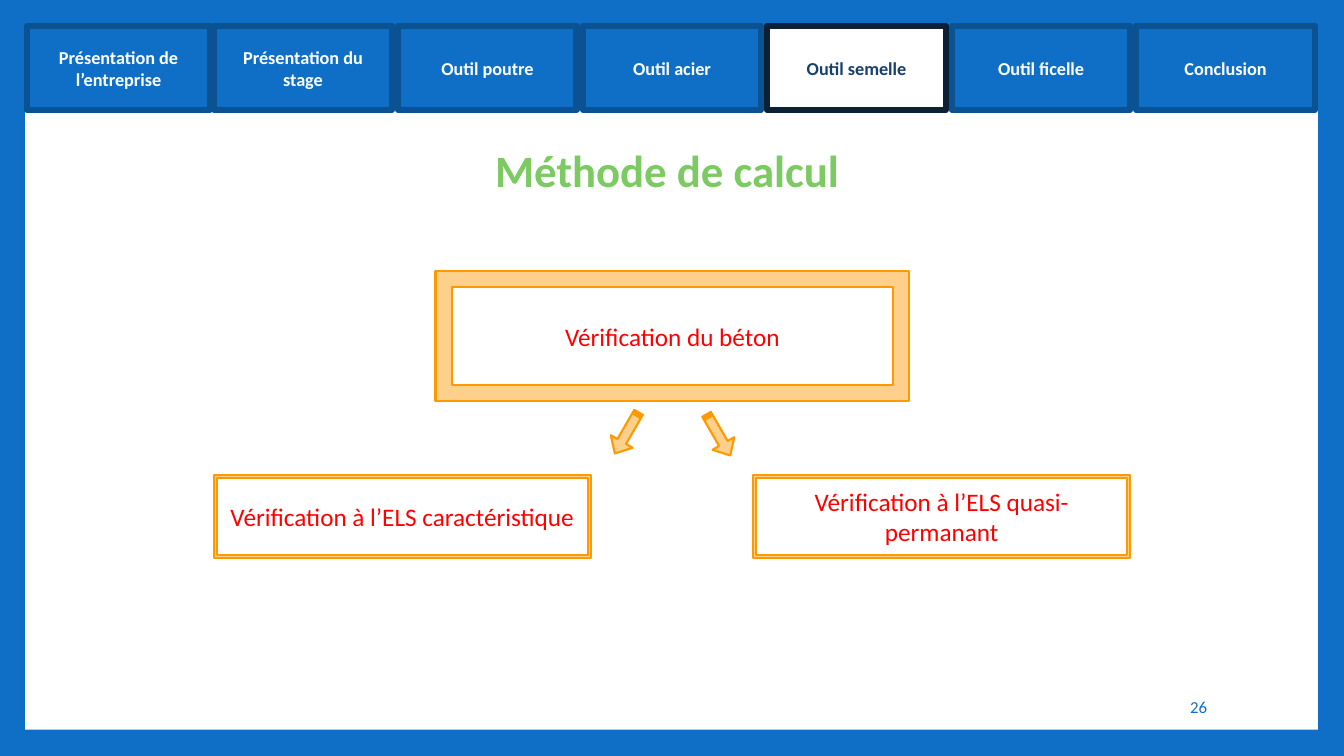
from lxml import etree
from pptx import Presentation
from pptx import util as u
from pptx.dml.color import RGBColor
from pptx.enum import shapes, text
from pptx.oxml.ns import qn

PX = 9144  # EMU per px, 100 px to the inch
FONT = "Calibri"
C = {"blue": "0F6FC6", "edge": "0B5292", "white": "FFFFFF", "navy": "17406D",
     "dark": "0C2036", "green": "7CCA62", "peach": "FFD08B",
     "orange": "FF9900", "red": "FF0000"}
TABS = ["Présentation de l’entreprise", "Présentation du stage", "Outil poutre",
        "Outil acier", "Outil semelle", "Outil ficelle", "Conclusion"]
ACTIVE_TAB = "Outil semelle"
SHAPE = shapes.MSO_SHAPE
ALIGN = text.PP_ALIGN


def rgb(name):
    return RGBColor.from_string(C[name])


def emu(*lengths):
    return [u.Emu(n * PX) for n in lengths]


def set_attrs(obj, values):
    for name, value in values.items():
        setattr(obj, name, value)


def write(sp, words, size, color, align=ALIGN.CENTER, bold=False, **frame):
    tf = sp.text_frame
    set_attrs(tf, {"word_wrap": True,
                   "vertical_anchor": text.MSO_ANCHOR.MIDDLE, **frame})
    p = tf.paragraphs[0]
    p.alignment = align
    r = p.add_run()
    r.text = words
    set_attrs(r.font, {"name": FONT, "size": u.Pt(size), "bold": bold})
    r.font.color.rgb = rgb(color)
    return r


def add_box(s, kind, box, fill, line=None, width=1.5, adj=()):
    sp = s.shapes.add_shape(kind, *emu(*box))
    sp.shadow.inherit = False
    sp.fill.solid()
    sp.fill.fore_color.rgb = rgb(fill)
    if line:
        sp.line.color.rgb = rgb(line)
        sp.line.width = u.Pt(width)
    else:
        sp.line.fill.background()
    for i, value in enumerate(adj):
        sp.adjustments[i] = value
    return sp


def page(s, box):
    """Blue surround, white panel and page number."""
    s.background.fill.solid()
    s.background.fill.fore_color.rgb = rgb("blue")
    add_box(s, SHAPE.RECTANGLE, box, "white")
    x, y, w, h = box
    number = s.shapes.add_textbox(*emu(x + w - 287, y + h - 43, 187, 40))
    write(number, "26", 12, "blue", ALIGN.RIGHT)


def tab_bar(s, box):
    """Equal tabs, the current one in white; the first is a little wider."""
    x, y, w, h = box
    pitch, gap = 183, 6
    for i, label in enumerate(TABS):
        fill, line, color = (("white", "dark", "navy") if label == ACTIVE_TAB
                             else ("blue", "edge", "white"))
        extra = 2 if i == 0 else 0
        tab = (x + pitch * i - extra, y, pitch - gap + 2 * extra, h)
        sp = add_box(s, SHAPE.RECTANGLE, tab, fill, line, 4.5)
        write(sp, label, 13, color, bold=True)


def title(s, box):
    """Green title with a thin white outline, in front of the panel."""
    sp = s.shapes.title
    s.shapes._spTree.append(sp.element)
    set_attrs(sp, dict(zip(("left", "top", "width", "height"), emu(*box))))
    r = write(sp, "Méthode de calcul", 32, "green", ALIGN.LEFT, True,
              word_wrap=False, vertical_anchor=text.MSO_ANCHOR.TOP,
              auto_size=text.MSO_AUTO_SIZE.SHAPE_TO_FIT_TEXT)
    ln = etree.Element(qn("a:ln"), w=str(u.Pt(0.75)))
    fill = etree.SubElement(ln, qn("a:solidFill"))
    etree.SubElement(fill, qn("a:srgbClr"), val=C["white"])
    r.font._element.insert(0, ln)


def checks(s, box):
    """One check on top, two arrows, two checks below."""
    x, y, w, h = box
    middle = x + w // 2
    low_w, low_h = 374, 83
    low_y = y + h - low_h
    frames = [
        ("Vérification à l’ELS caractéristique", (x, low_y, low_w, low_h), 0.037),
        ("Vérification à l’ELS quasi-permanant",
         (x + w - low_w, low_y, low_w, low_h), 0.037),
        ("Vérification du béton", (middle - 234, y, 470, 129), 0.125),
    ]
    for label, place, border in frames:
        sp = add_box(s, SHAPE.FRAME, place, "peach", "orange", adj=[border])
        write(sp, label, 18, "red")
    for dx, dy, angle in ((-68, 148, 120), (23, 150, 60)):
        sp = add_box(s, SHAPE.STRIPED_RIGHT_ARROW,
                     (middle + dx, y + dy, 47, 25),
                     "peach", "orange", adj=[0.394, 0.546])
        sp.rotation = angle


def main():
    prs = Presentation()
    prs.slide_width, prs.slide_height = emu(1333, 750)
    s = prs.slides.add_slide(prs.slide_layouts[5])
    page(s, (25, 27, 1282, 697))
    tab_bar(s, (29, 26, 1275, 83))
    title(s, (481, 137, 372, 64))
    checks(s, (212, 269, 909, 285))
    prs.save("out.pptx")


if __name__ == "__main__":
    main()
